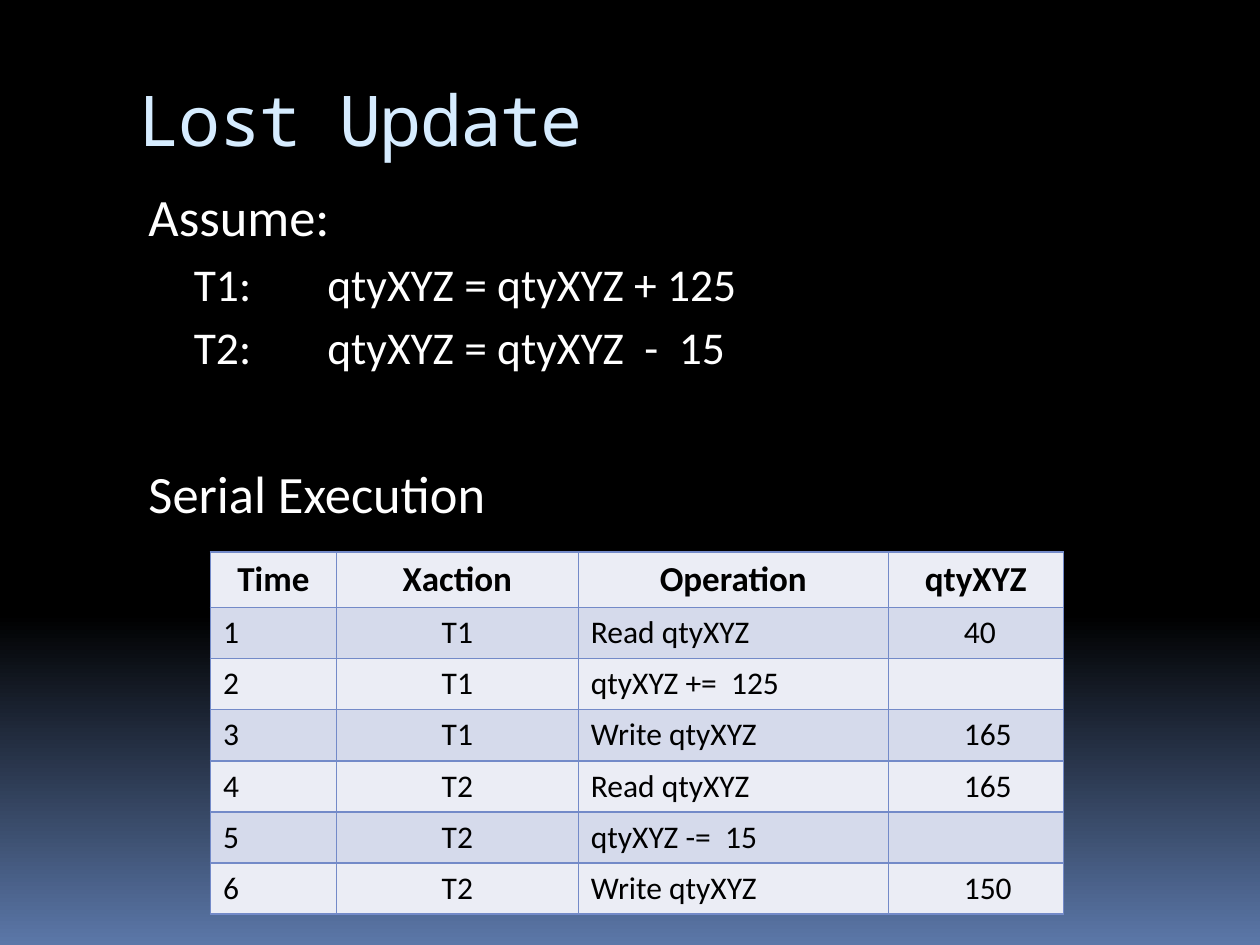
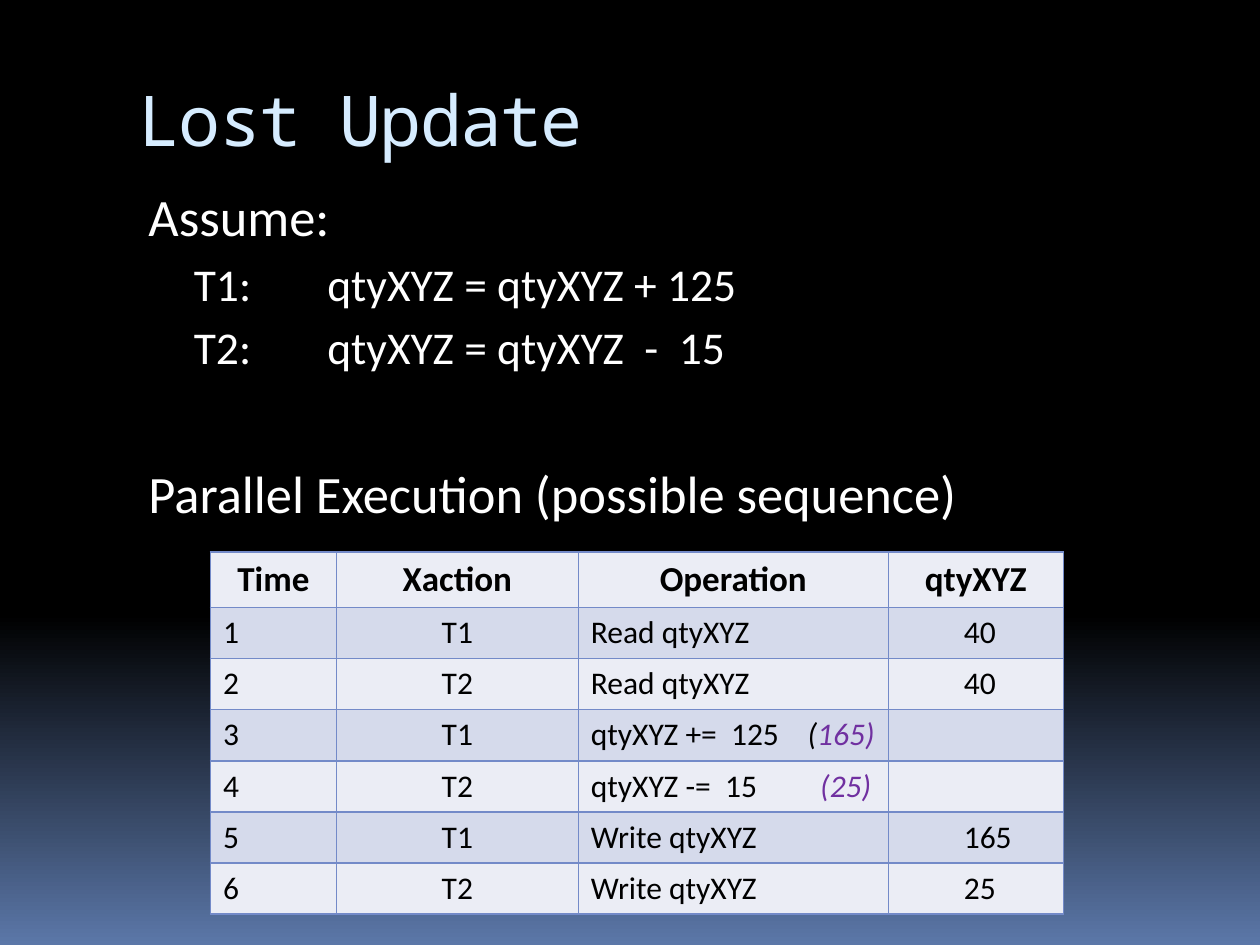
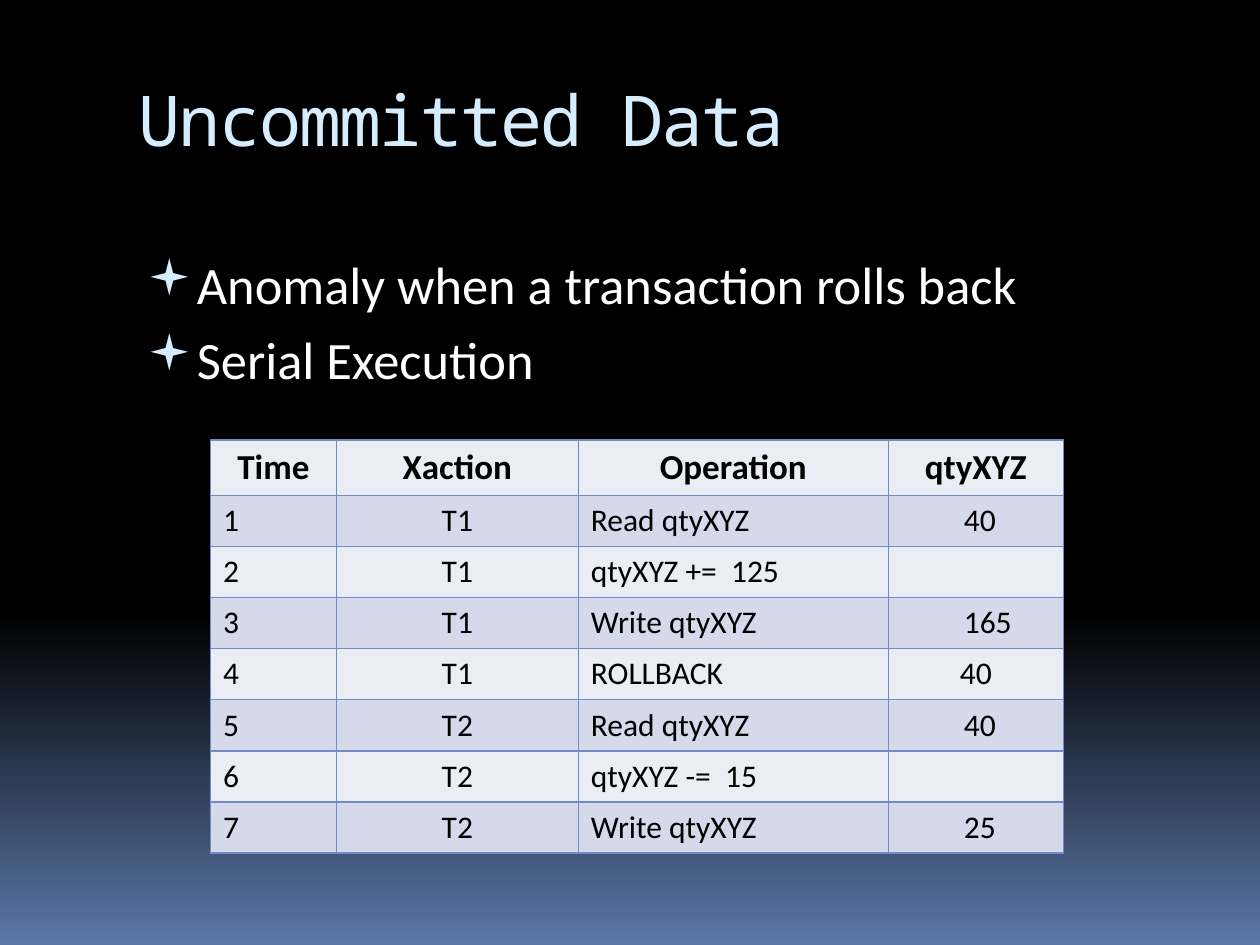
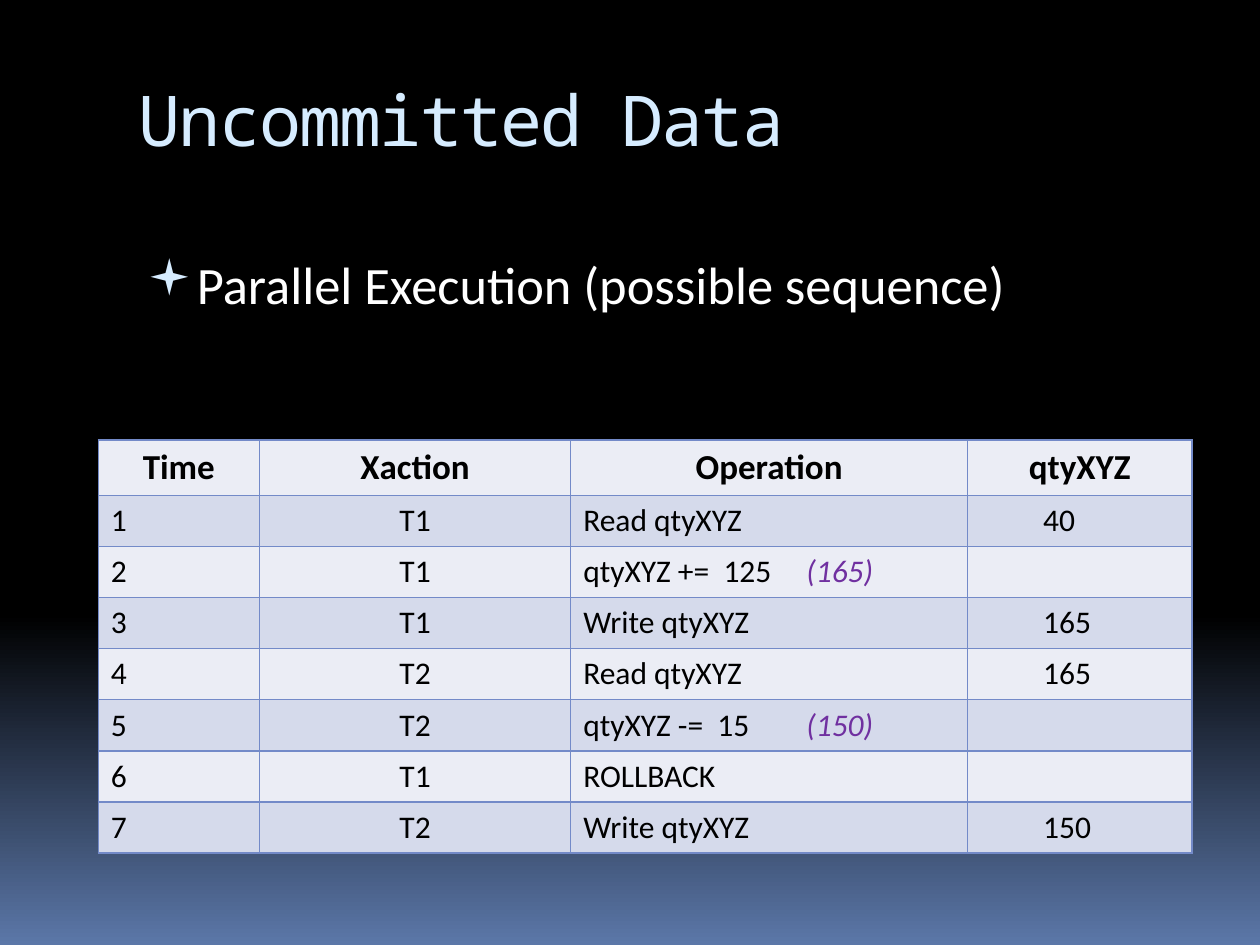
import copy

import pptx
import pptx.dml.color
import pptx.enum.text
import pptx.oxml
import pptx.oxml.ns
import pptx.util
from pptx.util import Inches

BLACK = pptx.dml.color.RGBColor(0x00, 0x00, 0x00)
WHITE = pptx.dml.color.RGBColor(0xFF, 0xFF, 0xFF)
DUSK = pptx.dml.color.RGBColor(0x5B, 0x77, 0xA8)
ICE = pptx.dml.color.RGBColor(0xD6, 0xEC, 0xFF)
PURPLE = pptx.dml.color.RGBColor(0x70, 0x30, 0xA0)
BORDER = pptx.dml.color.RGBColor(0x73, 0x8A, 0xC8)
BANDS = (pptx.dml.color.RGBColor(0xEB, 0xED, 0xF5), pptx.dml.color.RGBColor(0xD5, 0xDA, 0xEB))
TITLE_FONT = "Noto Sans Mono"
BODY_FONT = "Calibri"
ALIGN = pptx.enum.text.PP_ALIGN
HEADINGS = ("Time", "Xaction", "Operation", "qtyXYZ")
NARROW = (1, 1.92, 2.46, 1.39)
WIDE = (1.28, 2.47, 3.15, 1.78)
HEADER_HEIGHT = pptx.util.Pt(31.8)
ROW_HEIGHT = pptx.util.Pt(29.2)


def add_text(para, text, size=18, color=BLACK, font=BODY_FONT, bold=False, italic=False):
    span = para.add_run()
    span.text = text
    span.font.size = pptx.util.Pt(size)
    span.font.color.rgb = color
    span.font.name = font
    span.font.bold = bold
    span.font.italic = italic
    return span


def add_xml(parent, markup):
    namespace = pptx.oxml.ns.nsdecls("a")
    tag_end = min(markup.index(mark) for mark in " />" if mark in markup)
    parent.append(pptx.oxml.parse_xml(f"{markup[:tag_end]} {namespace}{markup[tag_end:]}"))


# Body lines: kind, text, space before in points
ASSUMPTIONS = [
    ("plain", "Assume:", 7),
    ("step", "T1: \t\tqtyXYZ = qtyXYZ + 125", 5),
    ("step", "T2:\t\tqtyXYZ = qtyXYZ  -  15", 5),
]
INDENTS = {"plain": (0.64, -0.56), "step": (1, -0.56), "bullet": (0.45, -0.38)}

# Table rows: transaction, operation, value. An operation with a result is
# (text, tab position, black part of the result, purple part).
SLIDES = [
    {
        "title": "Lost Update",
        "body_top": 1.41,
        "body": ASSUMPTIONS + [("plain", "Serial Execution", 50)],
        "table_at": (1.67, 4.38),
        "widths": NARROW,
        "rows": [
            ("T1", "Read qtyXYZ", "40"),
            ("T1", "qtyXYZ +=  125", ""),
            ("T1", "Write qtyXYZ", "165"),
            ("T2", "Read qtyXYZ", "165"),
            ("T2", "qtyXYZ -=  15", ""),
            ("T2", "Write qtyXYZ", "150"),
        ],
    },
    {
        "title": "Lost Update",
        "body_top": 1.41,
        "body": ASSUMPTIONS + [("plain", "Parallel Execution (possible sequence)", 50)],
        "table_at": (1.67, 4.38),
        "widths": NARROW,
        "rows": [
            ("T1", "Read qtyXYZ", "40"),
            ("T2", "Read qtyXYZ", "40"),
            ("T1", ("qtyXYZ +=  125", 1.72, "(", "165)"), ""),
            ("T2", ("qtyXYZ -=  15", 1.82, "", "(25)"), ""),
            ("T1", "Write qtyXYZ", "165"),
            ("T2", "Write qtyXYZ", "25"),
        ],
    },
    {
        "title": "Uncommitted Data",
        "body_top": 1.95,
        "body": [
            ("bullet", "Anomaly when a transaction rolls back", 7),
            ("bullet", "Serial Execution", 7),
        ],
        "table_at": (1.67, 3.49),
        "widths": NARROW,
        "rows": [
            ("T1", "Read qtyXYZ", "40"),
            ("T1", "qtyXYZ +=  125", ""),
            ("T1", "Write qtyXYZ", "165"),
            ("T1", "ROLLBACK", "40"),
            ("T2", "Read qtyXYZ", "40"),
            ("T2", "qtyXYZ -=  15", ""),
            ("T2", "Write qtyXYZ", "25"),
        ],
    },
    {
        "title": "Uncommitted Data",
        "body_top": 1.95,
        "body": [("bullet", "Parallel Execution (possible sequence)", 7)],
        "table_at": (0.78, 3.49),
        "widths": WIDE,
        "rows": [
            ("T1", "Read qtyXYZ", "40"),
            ("T1", ("qtyXYZ +=  125", 1.77, "", "(165)"), ""),
            ("T1", "Write qtyXYZ", "165"),
            ("T2", "Read qtyXYZ", "165"),
            ("T2", ("qtyXYZ -=  15", 1.77, "", "(150)"), ""),
            ("T1", "ROLLBACK", ""),
            ("T2", "Write qtyXYZ", "150"),
        ],
    },
]

deck = pptx.Presentation()
deck.slide_width = Inches(10)
deck.slide_height = Inches(7.5)

# Shared background: black down to 65 %, then fading to blue
backdrop = deck.slide_master.background.fill
backdrop.gradient()
backdrop.gradient_angle = 270
first_stop, last_stop = backdrop.gradient_stops
first_stop.color.rgb = BLACK
first_stop.position = 0
last_stop.color.rgb = DUSK
last_stop.position = 1
stop_list = next(deck.slide_master.element.iter(pptx.oxml.ns.qn("a:gsLst")))
middle_stop = copy.deepcopy(stop_list[0])
middle_stop.set("pos", "65000")
stop_list.insert(1, middle_stop)

for content in SLIDES:
    page = deck.slides.add_slide(deck.slide_layouts[5])

    title = page.shapes.title
    title.left, title.top, title.width, title.height = map(Inches, (1, 0.56, 8.5, 1))
    frame = title.text_frame
    frame.auto_size = pptx.enum.text.MSO_AUTO_SIZE.NONE
    frame.vertical_anchor = pptx.enum.text.MSO_ANCHOR.TOP
    para = frame.paragraphs[0]
    para.alignment = ALIGN.LEFT
    span = add_text(para, content["title"], size=40, color=ICE, font=TITLE_FONT)
    span.font._element.set("spc", "-100")

    top = content["body_top"]
    box = page.shapes.add_textbox(Inches(1), Inches(top), Inches(8.5), Inches(6.95 - top))
    box.text_frame.word_wrap = True
    for index, (kind, text, space) in enumerate(content["body"]):
        para = box.text_frame.add_paragraph() if index else box.text_frame.paragraphs[0]
        para.level = 1 if kind == "step" else 0
        para.space_before = pptx.util.Pt(space)
        properties = para._p.get_or_add_pPr()
        margin, indent = INDENTS[kind]
        properties.set("marL", str(Inches(margin)))
        properties.set("indent", str(Inches(indent)))
        if kind == "bullet":
            add_xml(properties, f'<a:buClr><a:srgbClr val="{ICE}"/></a:buClr>')
            add_xml(properties, '<a:buSzPct val="95000"/>')
            add_xml(properties, '<a:buFont typeface="Wingdings" pitchFamily="2" charset="2"/>')
            add_xml(properties, '<a:buChar char="▪"/>')
        elif kind == "step":
            stops = "".join(f'<a:tab pos="{Inches(stop)}" algn="l"/>' for stop in (1, 2))
            add_xml(properties, f"<a:tabLst>{stops}</a:tabLst>")
        add_text(para, text, size=26 if kind == "step" else 30, color=WHITE)

    left, top = content["table_at"]
    widths = content["widths"]
    row_count = len(content["rows"]) + 1
    table = page.shapes.add_table(row_count, len(widths), Inches(left), Inches(top),
                                  Inches(sum(widths)), ROW_HEIGHT * row_count).table
    table.horz_banding = False
    for column, width in zip(table.columns, widths):
        column.width = Inches(width)
    table.rows[0].height = HEADER_HEIGHT

    records = [HEADINGS] + [(str(time), *row) for time, row in enumerate(content["rows"], 1)]
    for row_index, record in enumerate(records):
        for column_index, entry in enumerate(record):
            cell = table.cell(row_index, column_index)
            properties = cell._tc.get_or_add_tcPr()
            for side in ("lnL", "lnR", "lnT", "lnB"):
                add_xml(properties, f'<a:{side} w="12700"><a:solidFill><a:srgbClr val="{BORDER}"/>'
                                    f'</a:solidFill></a:{side}>')
            cell.fill.solid()
            cell.fill.fore_color.rgb = BANDS[row_index % 2]

            para = cell.text_frame.paragraphs[0]
            rolled_back = column_index == 3 and record[2] == "ROLLBACK"
            if row_index == 0 or column_index == 1 or rolled_back:
                para.alignment = ALIGN.CENTER
            elif column_index == 3 and entry:
                para.level = 1
                para._p.get_or_add_pPr().set("marL", str(Inches(0.5)))

            if row_index == 0:
                add_text(para, entry, size=20, bold=True)
            elif isinstance(entry, tuple):
                operation, tab, black_part, purple_part = entry
                add_xml(para._p.get_or_add_pPr(),
                        f'<a:tabLst><a:tab pos="{Inches(tab)}" algn="l"/></a:tabLst>')
                add_text(para, operation + "\t")
                if black_part:
                    add_text(para, black_part, italic=True)
                add_text(para, purple_part, color=PURPLE, italic=True)
            elif entry:
                add_text(para, entry)

deck.save("out.pptx")
